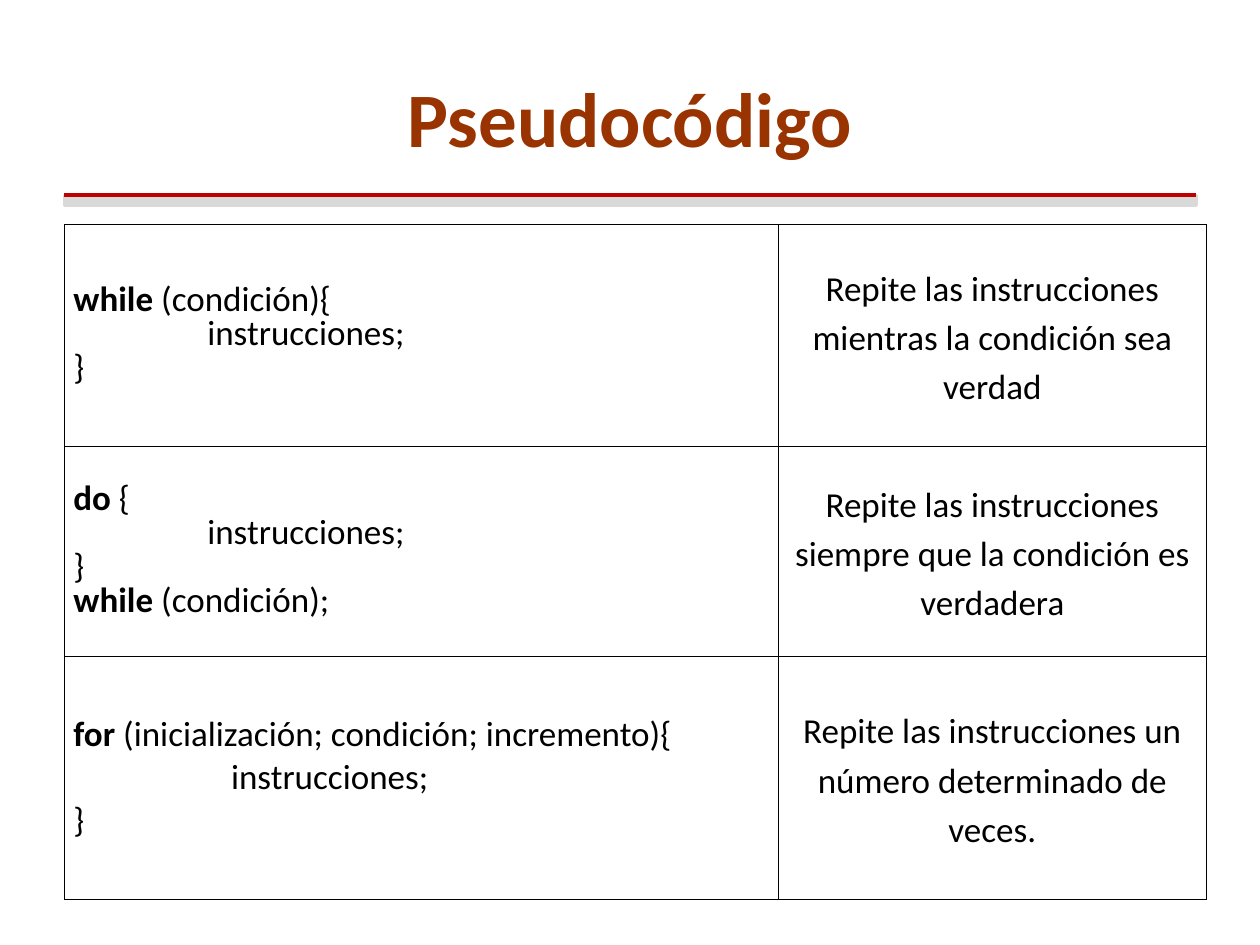
import pptx
import pptx.util
import pptx.dml.color
import pptx.enum.shapes
import pptx.enum.text
import pptx.oxml
import pptx.oxml.ns
from collections import namedtuple
from dataclasses import dataclass
from pptx.util import Cm

Box = namedtuple("Box", "left top width height")
Align = pptx.enum.text.PP_ALIGN
MIDDLE = pptx.enum.text.MSO_ANCHOR.MIDDLE


@dataclass(frozen=True)
class Theme:
    font: str = "Calibri"
    title_color: str = "993300"
    text_color: str = "000000"
    rule_color: str = "C00000"
    band_color: str = "D9D9D9"
    border_color: str = "000000"
    title_size: float = 44
    body_size: float = 20
    rule_width: float = 2.25
    band_width: float = 2
    border_width: float = 0.45


THEME = Theme()
TIGHT = {"line_spacing": 0.8}
JUSTIFIED = {"alignment": Align.JUSTIFY}
CENTERED = {"alignment": Align.CENTER, "line_spacing": 1.15}
CELL_FORMAT = {
    "vertical_anchor": MIDDLE,
    "margin_left": Cm(0.18), "margin_right": Cm(0.18),
    "margin_top": Cm(0.13), "margin_bottom": Cm(0.13),
}

# Row height, code format, code lines as (keyword, rest), explanation
LOOPS = [
    (Cm(4.47), TIGHT,
     [("while", " (condición){"), ("", "\t instrucciones;"), ("", "}")],
     "Repite las instrucciones mientras la condición sea verdad"),
    (Cm(4.24), TIGHT,
     [("do", " {"), ("", "\t instrucciones;"), ("", "}"),
      ("while", " (condición);")],
     "Repite las instrucciones siempre que la condición es verdadera"),
    (Cm(4.9), JUSTIFIED,
     [("for", " (inicialización; condición; incremento){"),
      ("", "\t    instrucciones;"), ("", "}")],
     "Repite las instrucciones un número determinado de veces."),
]


def rgb(color):
    return pptx.dml.color.RGBColor.from_string(color)


def apply(target, values):
    for name, value in values.items():
        setattr(target, name, value)


def add_run(paragraph, text, size, color, bold=False):
    run = paragraph.add_run()
    run.text = text
    apply(run.font, {"name": THEME.font, "size": pptx.util.Pt(size), "bold": bold})
    run.font.color.rgb = rgb(color)


def add_tab_stop(paragraph, position):
    tabs = pptx.oxml.parse_xml(
        f'<a:tabLst {pptx.oxml.ns.nsdecls("a")}>'
        f'<a:tab pos="{position}" algn="l"/></a:tabLst>')
    paragraph._p.get_or_add_pPr().append(tabs)


def add_borders(cell):
    width = int(pptx.util.Pt(THEME.border_width))
    for index, side in enumerate(("lnL", "lnR", "lnT", "lnB")):
        border = pptx.oxml.parse_xml(
            f'<a:{side} {pptx.oxml.ns.nsdecls("a")} w="{width}"><a:solidFill>'
            f'<a:srgbClr val="{THEME.border_color}"/></a:solidFill></a:{side}>')
        cell._tc.get_or_add_tcPr().insert(index, border)


def add_title(slide, box, text):
    frame = slide.shapes.add_textbox(*box).text_frame
    apply(frame, {"word_wrap": True, "vertical_anchor": MIDDLE})
    heading = frame.paragraphs[0]
    heading.alignment = Align.CENTER
    add_run(heading, text, THEME.title_size, THEME.title_color, bold=True)


def add_divider(slide, box):
    """Place a grey band with a red rule along its top edge."""
    band = slide.shapes.add_shape(pptx.enum.shapes.MSO_SHAPE.RECTANGLE, *box)
    band.shadow.inherit = False
    band.fill.solid()
    band.fill.fore_color.rgb = rgb(THEME.band_color)
    rule = slide.shapes.add_connector(
        pptx.enum.shapes.MSO_CONNECTOR.STRAIGHT,
        box.left, box.top, box.left + box.width, box.top)
    rule._element.spPr.append(
        pptx.oxml.parse_xml(f'<a:effectLst {pptx.oxml.ns.nsdecls("a")}/>'))
    for part, color, width in ((band, THEME.band_color, THEME.band_width),
                               (rule, THEME.rule_color, THEME.rule_width)):
        part.line.color.rgb = rgb(color)
        part.line.width = pptx.util.Pt(width)


def fill_cell(cell, lines, paragraph_format):
    """Write lines of (bold keyword, plain rest) into a bordered cell."""
    apply(cell, CELL_FORMAT)
    cell.fill.background()
    add_borders(cell)
    frame = cell.text_frame
    for index, (keyword, rest) in enumerate(lines):
        line = frame.add_paragraph() if index else frame.paragraphs[0]
        if "\t" in rest:
            add_tab_stop(line, Cm(2.54))
        apply(line, paragraph_format)
        if keyword:
            add_run(line, keyword, THEME.body_size, THEME.text_color, bold=True)
        add_run(line, rest, THEME.body_size, THEME.text_color)


def add_loop_table(slide, box, code_width):
    table = slide.shapes.add_table(len(LOOPS), 2, *box).table
    apply(table, {"first_row": False, "horz_banding": False})
    table.columns[0].width = code_width
    table.columns[1].width = box.width - code_width
    for row, (height, code_format, code, explanation) in zip(table.rows, LOOPS):
        row.height = height
        fill_cell(row.cells[0], code, code_format)
        fill_cell(row.cells[1], [("", explanation)], CENTERED)


def main():
    deck = pptx.Presentation()
    apply(deck, {"slide_width": Cm(25.4), "slide_height": Cm(19.05)})
    slide = deck.slides.add_slide(deck.slide_layouts[6])
    add_divider(slide, Box(Cm(1.3), Cm(3.94), Cm(22.81), Cm(0.2)))
    add_title(slide, Box(Cm(1.27), Cm(0.76), Cm(22.86), Cm(3.18)), "Pseudocódigo")
    table_height = sum(loop[0] for loop in LOOPS)
    add_loop_table(slide, Box(Cm(1.3), Cm(4.52), Cm(23.01), table_height), Cm(14.4))
    deck.save("out.pptx")


if __name__ == "__main__":
    main()
